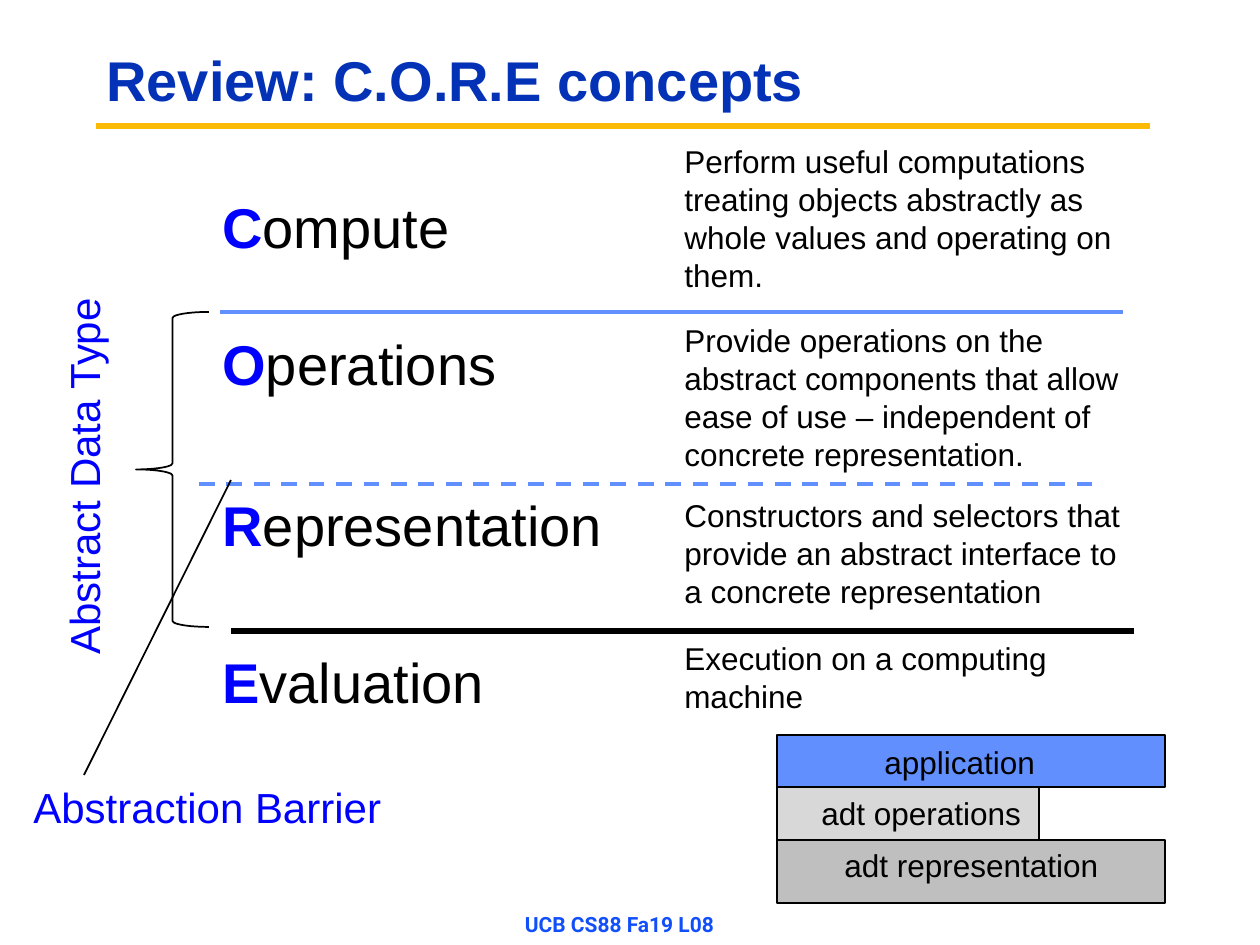
from pptx import Presentation
from pptx.dml.color import RGBColor
from pptx.enum.dml import MSO_LINE
from pptx.enum.shapes import MSO_CONNECTOR, MSO_SHAPE
from pptx.enum.text import MSO_ANCHOR, PP_ALIGN
from pptx.oxml.ns import qn
from pptx.util import Pt
from lxml import etree

PX = 914400 // 126
BLACK, BLUE, SKY = "000000", "0000FF", "618FFD"

# initial, rest, top, width | description, top, width, height
CONCEPTS = [
    ("C", "ompute", 186, 255,
     "Perform useful computations treating objects abstractly as whole values "
     "and operating on them.", 136, 504, 165),
    ("O", "perations", 323, 302,
     "Provide operations on the abstract components that allow ease of use – "
     "independent of concrete representation.", 315, 483, 165),
    ("R", "epresentation", 484, 410,
     "Constructors and selectors that provide an abstract interface to a "
     "concrete representation", 490, 483, 127),
    ("E", "valuation", 641, 290,
     "Execution on a computing machine", 633, 483, 89),
]

# label, fill, layer box, label box
LAYERS = [
    ("adt representation", "BFBFBF", (777, 840, 388, 63), (832, 840, 282, 50)),
    ("adt operations", "D8D8D8", (777, 787, 262, 53), (809, 788, 227, 50)),
    ("application", SKY, (777, 735, 388, 52), (872, 737, 178, 50)),
]


def emu(*pixels):
    return [v * PX for v in pixels]


def rgb(value):
    return RGBColor.from_string(value)


def add_text(s, box, runs, size, font="Arial", align=PP_ALIGN.LEFT,
             anchor=MSO_ANCHOR.TOP, spacing=None, rotation=0):
    """Add one paragraph; runs are (text, colour, bold)."""
    sp = s.shapes.add_textbox(*emu(*box))
    sp.rotation = rotation
    tf = sp.text_frame
    tf.word_wrap = True
    tf.vertical_anchor = anchor
    p = tf.paragraphs[0]
    p.alignment = align
    if spacing:
        p.line_spacing = spacing
    for text, color, bold in runs:
        r = p.add_run()
        r.text = text
        r.font.name = font
        r.font.size = Pt(size)
        r.font.bold = bold
        r.font.color.rgb = rgb(color)


def add_line(s, start, end, color, width, dash=None):
    line = s.shapes.add_connector(MSO_CONNECTOR.STRAIGHT, *emu(*start, *end))
    line.line.color.rgb = rgb(color)
    line.line.width = Pt(width)
    if dash:
        line.line.dash_style = dash
    etree.SubElement(line._element.spPr, qn("a:effectLst"))


def add_outlined(s, kind, box, fill=None):
    sp = s.shapes.add_shape(kind, *emu(*box))
    sp.shadow.inherit = False
    if fill:
        sp.fill.solid()
        sp.fill.fore_color.rgb = rgb(fill)
    else:
        sp.fill.background()
    sp.line.color.rgb = rgb(BLACK)
    sp.line.width = Pt(1)
    return sp


def main():
    prs = Presentation()
    prs.slide_width, prs.slide_height = emu(1260, 945)
    s = prs.slides.add_slide(prs.slide_layouts[6])

    # Title and footer
    add_line(s, (96, 126), (1150, 126), "FBBA03", 3.75)
    add_text(s, (94, 32, 1061, 102),
             [("Review: C.O.R.E concepts", "0332B7", True)], 32,
             anchor=MSO_ANCHOR.MIDDLE, spacing=0.9)
    add_text(s, (420, 903, 399, 42), [("UCB CS88 Fa19 L08", "114FFB", True)],
             12, font="Roboto", align=PP_ALIGN.CENTER,
             anchor=MSO_ANCHOR.MIDDLE)

    # Concepts with their descriptions
    for initial, rest, top, width, text, text_top, text_w, text_h in CONCEPTS:
        add_text(s, (210, top, width, 81),
                 [(initial, BLUE, True), (rest, BLACK, False)], 32)
        add_text(s, (672, text_top, text_w, text_h),
                 [(text, BLACK, False)], 18)

    # Dividers between the concepts
    for left, y, color, width, dash in [(220, 312, SKY, 2.25, None),
                                        (199, 484, SKY, 2.25, MSO_LINE.DASH),
                                        (231, 631, BLACK, 3, None)]:
        add_line(s, (left, y), (left + 903, y), color, width, dash)

    # Abstract data type brace and abstraction barrier
    brace = add_outlined(s, MSO_SHAPE.LEFT_BRACE, (136, 312, 73, 315))
    brace.adjustments[0] = 0.083
    brace.adjustments[1] = 0.5
    add_text(s, (-110, 442, 387, 63), [("Abstract Data Type", BLUE, False)],
             24, rotation=270)
    add_text(s, (21, 775, 379, 63), [("Abstraction Barrier", BLUE, False)], 24)
    add_line(s, (231, 480), (84, 775), BLACK, 1)

    # Layer stack
    for label, fill, box, label_box in LAYERS:
        add_outlined(s, MSO_SHAPE.RECTANGLE, box, fill)
        add_text(s, label_box, [(label, BLACK, False)], 18)

    prs.save("out.pptx")


main()
